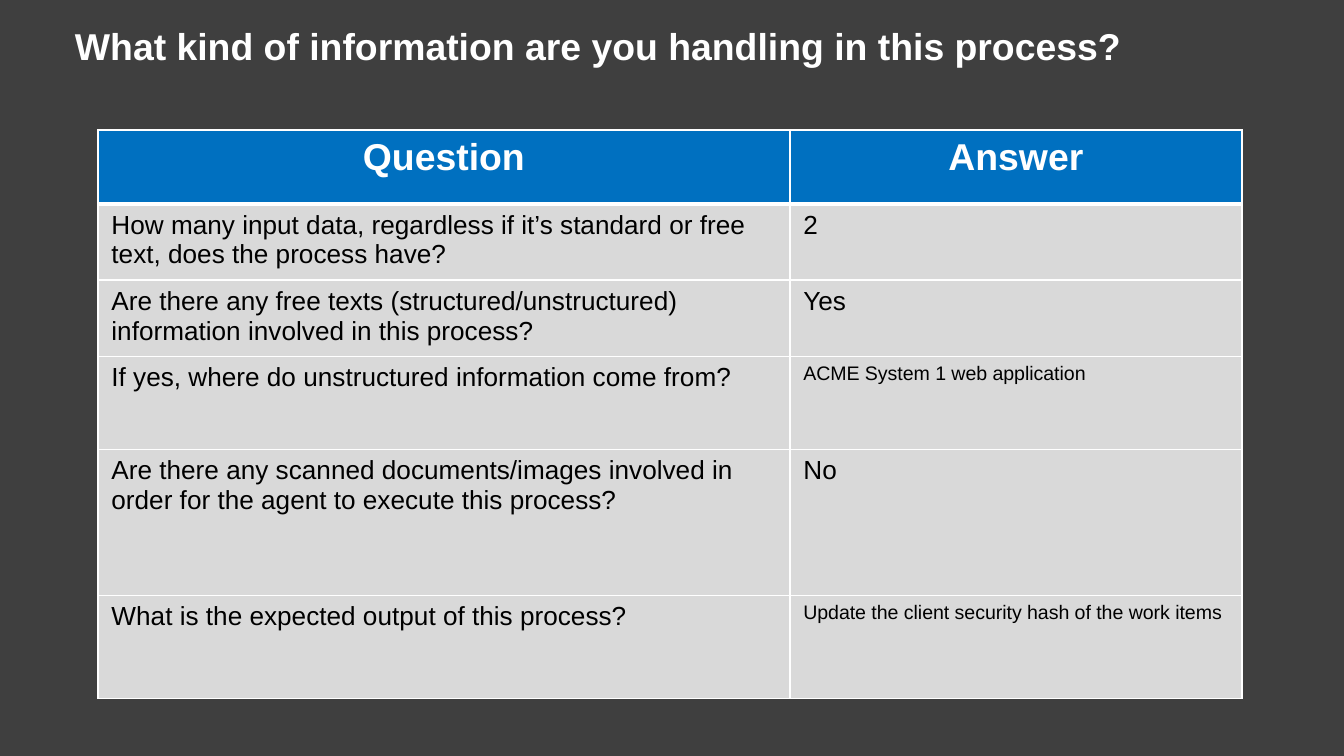
from lxml.etree import SubElement
from pptx import Presentation
from pptx.dml.color import RGBColor
from pptx.enum.text import MSO_ANCHOR as Anchor, PP_ALIGN as Align
from pptx.oxml.ns import qn
from pptx.util import Pt

TITLE = "What kind of information are you handling in this process?"
HEADINGS = ("Question", "Answer")
ANSWERS = [
    ("How many input data, regardless if it’s standard or free text, does the process have?", "2", 14),
    ("Are there any free texts (structured/unstructured) information involved in this process?", "Yes", 14),
    ("If yes, where do unstructured information come from?", "ACME System 1 web application", 10.5),
    ("Are there any scanned documents/images involved in order for the agent to execute this process?", "No", 14),
    ("What is the expected output of this process?", "Update the client security hash of the work items", 10.5),
]
COLORS = {"background": "3F3F3F", "heading": "0070C0", "body": "D9D9D9",
          "light": "FFFFFF", "dark": "000000"}
FONT = "Arial"
SCALE = 914400 / 134.4
COLUMN_WIDTHS = (692, 452)
ROW_HEIGHTS = (74, 74, 74, 93, 146, 103)


def px(*lengths):
    return [round(length * SCALE) for length in lengths]


def color(name):
    return RGBColor.from_string(COLORS[name])


def write(frame, text, size=14, ink="dark", bold=False, align=Align.LEFT):
    frame.word_wrap = True
    paragraph = frame.paragraphs[0]
    paragraph.alignment = align
    run = paragraph.add_run()
    run.text = text
    run.font.name = FONT
    run.font.size = Pt(size)
    run.font.bold = bold
    run.font.color.rgb = color(ink)
    return paragraph


def fill_cell(cell, fill, top, bottom):
    properties = cell._tc.get_or_add_tcPr()
    for side, width in (("L", 1), ("R", 1), ("T", top), ("B", bottom)):
        line = SubElement(properties, qn(f"a:ln{side}"), w=str(Pt(width)))
        solid = SubElement(line, qn("a:solidFill"))
        SubElement(solid, qn("a:srgbClr"), val=COLORS["light"])
    cell.fill.solid()
    cell.fill.fore_color.rgb = color(fill)


deck = Presentation()
deck.slide_width, deck.slide_height = px(1344, 756)
slide = deck.slides.add_slide(deck.slide_layouts[6])
slide.background.fill.solid()
slide.background.fill.fore_color.rgb = color("background")

title = slide.shapes.add_textbox(*px(46, 7, 1253, 78)).text_frame
title.margin_left, title.margin_right, title.margin_top, title.margin_bottom = px(13, 13, 13, 13)
title.vertical_anchor = Anchor.MIDDLE
heading = write(title, TITLE, size=20, ink="light", bold=True)
indent = heading._p.get_or_add_pPr()
indent.set("marL", str(px(16)[0]))
indent.set("indent", "0")

table = slide.shapes.add_table(
    len(ROW_HEIGHTS), len(COLUMN_WIDTHS),
    *px(98, 130, sum(COLUMN_WIDTHS), sum(ROW_HEIGHTS))).table
for column, width in zip(table.columns, px(*COLUMN_WIDTHS)):
    column.width = width
for row, height in zip(table.rows, px(*ROW_HEIGHTS)):
    row.height = height

for column, text in enumerate(HEADINGS):
    cell = table.cell(0, column)
    fill_cell(cell, "heading", top=1, bottom=3)
    write(cell.text_frame, text, size=20, ink="light", bold=True, align=Align.CENTER)

for row, (question, answer, answer_size) in enumerate(ANSWERS, start=1):
    for column, (text, size) in enumerate([(question, 14), (answer, answer_size)]):
        cell = table.cell(row, column)
        fill_cell(cell, "body", top=3 if row == 1 else 1, bottom=1)
        write(cell.text_frame, text, size=size)

deck.save("out.pptx")
